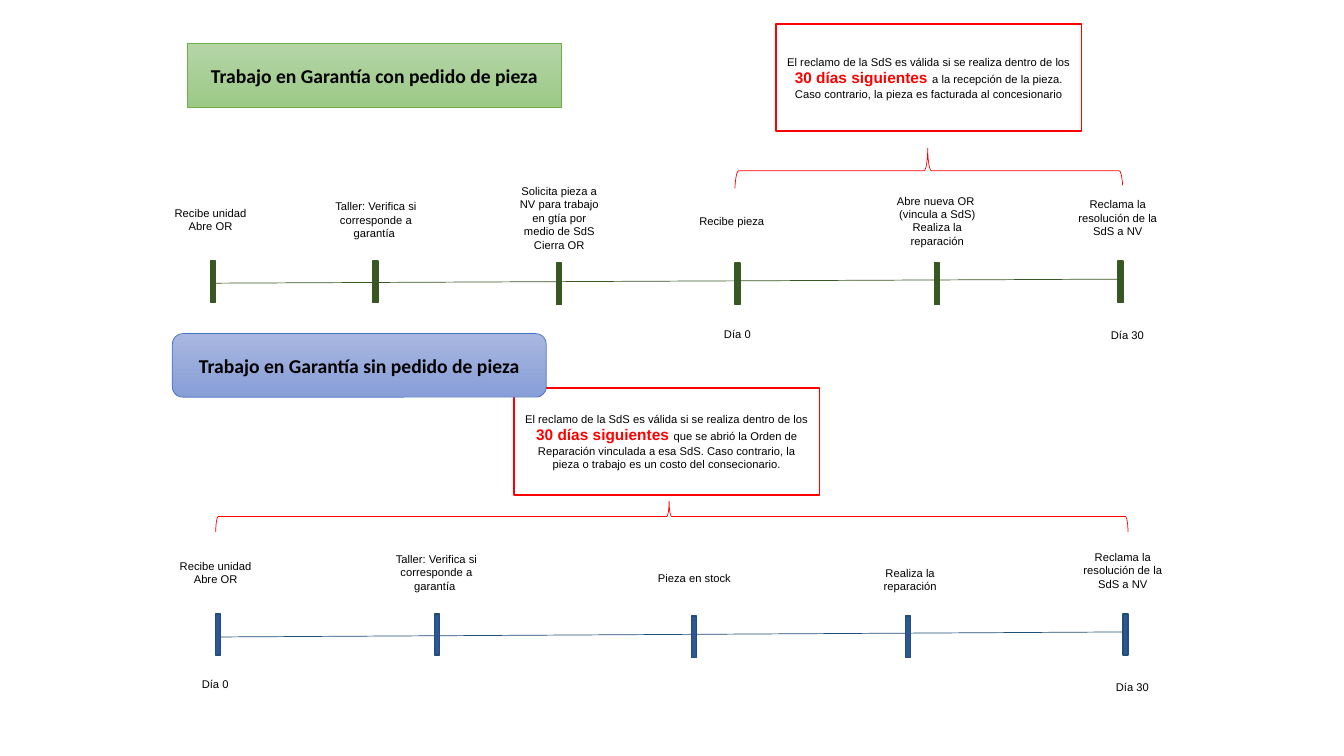
from lxml.etree import SubElement
from pptx import Presentation
from pptx.dml.color import RGBColor
from pptx.enum.shapes import MSO_CONNECTOR, MSO_SHAPE
from pptx.enum.text import MSO_ANCHOR, MSO_AUTO_SIZE, PP_ALIGN
from pptx.oxml.ns import qn
from pptx.util import Pt

COLORS = {
    "text": "000000", "paper": "FFFFFF", "alert": "FF0000",
    "green": "385723", "green_edge": "70AD47", "green_top": "B5D5A7", "green_bottom": "9CC987",
    "blue": "2F5597", "navy": "1F4E79", "blue_edge": "4472C4",
    "blue_top": "A8B7DF", "blue_bottom": "889ED7",
}
LABEL_SIZE = (76.3, 46.1)
DAY_SIZE = (61.2, 30.2)
NOTE_SIZE = (218.2, 76.3)
HEADING_SIZE = (267.1, 45.4)
TICK_SIZE = (3.6, 29.5)

ORDER_STEPS = [
    (150.5, 186.5, 112.3, 133.9, ["Recibe unidad", "Abre OR"]),
    (266.4, 186.5, 230.4, 133.9, ["Taller: Verifica si corresponde a garantía "]),
    (397.4, 188, 361.4, 132.5,
     ["Solicita pieza a NV para trabajo en gtía por medio de SdS Cierra OR"]),
    (524.9, 188, 484.6, 134.6, ["Recibe pieza"]),
    (667.4, 188, 631.4, 134.6, ["Abre nueva OR  (vincula a SdS)", "Realiza la reparación"]),
    (798.5, 186.5, 760.3, 132.5, ["Reclama la resolución de la SdS a NV"]),
]
STOCK_STEPS = [
    (154.1, 438.5, 115.9, 385.9, ["Recibe unidad", "Abre OR"]),
    (310.3, 438.5, 273.6, 385.9, ["Taller: Verifica si corresponde a garantía "]),
    (493.9, 440, 457.9, 389.5, ["Pieza en stock"]),
    (646.6, 440, 612, 391, ["Realiza la reparación"]),
    (802.1, 438.5, 763.9, 384.5, ["Reclama la resolución de la SdS a NV"]),
]


def rgb(name):
    """Return the named colour."""
    return RGBColor.from_string(COLORS[name])


def set_line(shape, color, width):
    """Give a shape or connector a solid line."""
    shape.line.color.rgb = rgb(color)
    shape.line.width = Pt(width)


def add_box(page, kind, left, top, size, fill=None, line=None, width=1):
    """Add a preset shape without shadow."""
    box = page.shapes.add_shape(kind, Pt(left), Pt(top), *map(Pt, size))
    box.shadow.inherit = False
    if fill:
        box.fill.solid()
        box.fill.fore_color.rgb = rgb(fill)
    else:
        box.fill.background()
    if line:
        set_line(box, line, width)
    else:
        box.line.fill.background()
    return box


def style_paragraph(para, size, name="Arial", bold=False):
    """Centre a paragraph and set its font."""
    para.alignment = PP_ALIGN.CENTER
    para.font.size = Pt(size)
    para.font.name = name
    para.font.bold = bold
    para.font.color.rgb = rgb("text")


def add_label(page, left, top, size, lines):
    """Add a white box with small centred text."""
    box = add_box(page, MSO_SHAPE.RECTANGLE, left, top, size, "paper")
    box.text_frame.text = "\n".join(lines)
    for para in box.text_frame.paragraphs:
        style_paragraph(para, 8)


def add_note(page, left, top, ending):
    """Add a red-edged note with its deadline emphasised."""
    box = add_box(page, MSO_SHAPE.RECTANGLE, left, top, NOTE_SIZE, "paper", "alert")
    para = box.text_frame.paragraphs[0]
    style_paragraph(para, 8)
    for text in ("El reclamo de la SdS es válida si se realiza dentro de los ",
                 "30 días siguientes ", ending):
        para.add_run().text = text
    span = para.runs[1]
    span.font.size = Pt(11)
    span.font.bold = True
    span.font.color.rgb = rgb("alert")


def add_brace(page, left, top, width, height):
    """Add a brace that spans the given area and points up."""
    middle_x, middle_y = left + width / 2, top + height / 2
    brace = add_box(page, MSO_SHAPE.LEFT_BRACE, middle_x - height / 2, middle_y - width / 2,
                    (height, width), line="alert", width=0.5)
    brace.rotation = 90
    brace.adjustments[1] = 0.503


def add_timeline(page, start_y, end_y, steps, fill, line):
    """Draw the axis and a tick for each step."""
    axis = page.shapes.add_connector(MSO_CONNECTOR.STRAIGHT, Pt(steps[0][0]), Pt(start_y),
                                     Pt(steps[-1][0]), Pt(end_y))
    set_line(axis, line, 0.5)
    SubElement(axis._element.spPr, qn("a:effectLst"))
    for left, top, *_ in steps:
        add_box(page, MSO_SHAPE.RECTANGLE, left, top, TICK_SIZE, fill, line)


def add_labels(page, steps, days):
    """Add step texts and day marks."""
    for _, _, left, top, lines in steps:
        add_label(page, left, top, LABEL_SIZE, lines)
    for left, top, text in days:
        add_label(page, left, top, DAY_SIZE, [text])


def format_heading(box, text, tone):
    """Fill a heading with a vertical gradient and bold text."""
    box.fill.gradient()
    box.fill.gradient_angle = 270
    for stop, end in zip(box.fill.gradient_stops, ("top", "bottom")):
        stop.color.rgb = rgb(f"{tone}_{end}")
    set_line(box, f"{tone}_edge", 0.5)
    frame = box.text_frame
    frame.text = text
    frame.word_wrap = True
    frame.auto_size = MSO_AUTO_SIZE.NONE
    frame.vertical_anchor = MSO_ANCHOR.MIDDLE
    style_paragraph(frame.paragraphs[0], 14, "Calibri", True)


def place_title(page, left, top):
    """Move the title placeholder and round its outline."""
    title = page.shapes.title
    title.left, title.top = Pt(left), Pt(top)
    title.width, title.height = map(Pt, HEADING_SIZE)
    outline = SubElement(title._element.spPr, qn("a:prstGeom"), prst="roundRect")
    SubElement(outline, qn("a:avLst"))
    return title


def main():
    """Build the slide with both warranty timelines."""
    deck = Presentation()
    deck.slide_width, deck.slide_height = Pt(960), Pt(540)
    page = deck.slides.add_slide(deck.slide_layouts[5])

    format_heading(place_title(page, 133.9, 31),
                   "Trabajo en Garantía con pedido de pieza", "green")
    add_timeline(page, 202.3, 199.4, ORDER_STEPS, "green", "green")
    add_brace(page, 524.9, 105.8, 277.2, 32.4)
    add_labels(page, ORDER_STEPS, [(496.1, 223.2, "Día 0"), (774.7, 223.9, "Día 30")])
    add_note(page, 554.4, 17.3, "a la recepción de la pieza. Caso contrario, "
             "la pieza es facturada al concesionario")

    add_timeline(page, 455, 451.4, STOCK_STEPS, "blue", "navy")
    add_brace(page, 154.1, 357.8, 651.6, 22.3)
    add_labels(page, STOCK_STEPS, [(123.1, 473.8, "Día 0"), (778.3, 475.9, "Día 30")])
    add_note(page, 367.2, 277.2, "que se abrió la Orden de Reparación vinculada a esa SdS. "
             "Caso contrario, la pieza o trabajo es un costo del consecionario.")
    heading = add_box(page, MSO_SHAPE.ROUNDED_RECTANGLE, 123.1, 238.3, HEADING_SIZE)
    format_heading(heading, "Trabajo en Garantía sin pedido de pieza", "blue")
    deck.save("out.pptx")


main()
